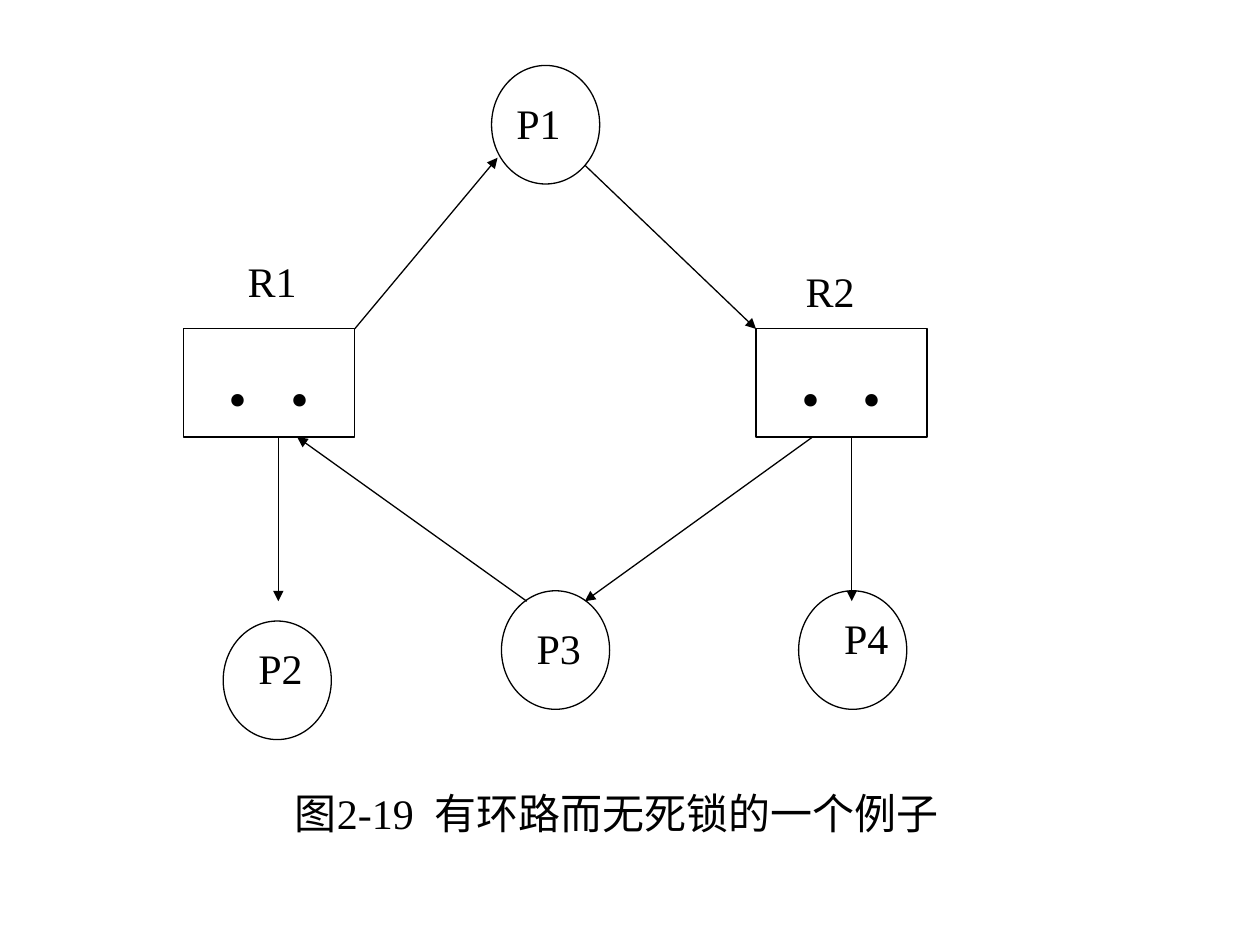
from lxml.etree import SubElement
from pptx import Presentation
from pptx.dml.color import RGBColor
from pptx.enum.shapes import MSO_CONNECTOR, MSO_SHAPE
from pptx.enum.text import MSO_ANCHOR, MSO_AUTO_SIZE, PP_ALIGN
from pptx.oxml.ns import qn
from pptx.util import Cm, Pt

FONT, BLACK, WHITE = "Times New Roman", "000000", "FFFFFF"

# All lengths in cm
BOX_TOP, BOX_W, BOX_H = 6.63, 3.45, 2.18
BOX_BOTTOM = BOX_TOP + BOX_H
CIRCLE_W, CIRCLE_H = 2.18, 2.39
NAME_W, NAME_H = 2.31, 2.18
ARROW_END = 12.12

R1_LEFT, R2_LEFT = 3.7, 15.24
RESOURCES = [  # box left, label, label position and size
    (R1_LEFT, "R1", (4.09, 5.13, 2.79, 1.32)),
    (R2_LEFT, "R2", (15.49, 5.33, 2.49, 1.02)),
]
PROCESSES = [  # name, circle corner, name corner
    ("P1", (9.91, 1.32), (9.7, 1.93)),
    ("P2", (4.5, 12.52), (4.5, 12.93)),
    ("P3", (10.11, 11.91), (10.11, 12.52)),
    ("P4", (16.1, 11.91), (16.31, 12.32)),
]
ARROWS = [
    ((R1_LEFT + BOX_W, BOX_TOP), (10.03, 3.18)),      # R1 to P1
    ((11.79, 3.33), (R2_LEFT, BOX_TOP)),              # P1 to R2
    ((5.61, BOX_BOTTOM), (5.61, ARROW_END)),          # R1 to P2
    ((10.62, ARROW_END), (5.99, BOX_BOTTOM)),         # P3 to R1
    ((16.38, BOX_BOTTOM), (11.79, ARROW_END)),        # R2 to P3
    ((17.17, BOX_BOTTOM), (17.17, ARROW_END)),        # R2 to P4
]
CAPTION = "图2-19  有环路而无死锁的一个例子"


def rgb(value):
    return RGBColor.from_string(value)


def cm(values):
    return [Cm(v) for v in values]


def write(shape, text, size=24, inset=(0.05, 0.03)):
    tf = shape.text_frame
    tf.word_wrap = True
    tf.vertical_anchor = MSO_ANCHOR.TOP
    tf.margin_left = tf.margin_right = Cm(inset[0])
    tf.margin_top = tf.margin_bottom = Cm(inset[1])
    tf.text = text
    p = tf.paragraphs[0]
    p.alignment = PP_ALIGN.CENTER
    font = p.runs[0].font
    font.name, font.size = FONT, Pt(size)
    font.color.rgb = rgb(BLACK)
    return tf


def add_outline(s, kind, at, fill=None):
    sp = s.shapes.add_shape(kind, *cm(at))
    sp.shadow.inherit = False
    if fill:
        sp.fill.solid()
        sp.fill.fore_color.rgb = rgb(fill)
    else:
        sp.fill.background()
    sp.line.color.rgb = rgb(BLACK)
    sp.line.width = Pt(0.75)
    return sp


def add_label(s, text, at, **style):
    return write(s.shapes.add_textbox(*cm(at)), text, **style)


def add_arrow(s, start, end):
    line = s.shapes.add_connector(MSO_CONNECTOR.STRAIGHT, *cm(start + end))
    line.line.color.rgb = rgb(BLACK)
    line.line.width = Pt(0.75)
    SubElement(line.line._get_or_add_ln(), qn("a:tailEnd"), type="triangle")
    SubElement(line._element.spPr, qn("a:effectLst"))


prs = Presentation()
prs.slide_width, prs.slide_height = Cm(25.4), Cm(19.05)
s = prs.slides.add_slide(prs.slide_layouts[6])

for left, name, label_at in RESOURCES:
    box = add_outline(s, MSO_SHAPE.RECTANGLE, (left, BOX_TOP, BOX_W, BOX_H), WHITE)
    write(box, "· ·", size=60)
    add_label(s, name, label_at)

for name, circle, corner in PROCESSES:
    add_label(s, name, corner + (NAME_W, NAME_H))
    add_outline(s, MSO_SHAPE.OVAL, circle + (CIRCLE_W, CIRCLE_H))

for start, end in ARROWS:
    add_arrow(s, start, end)

tf = add_label(s, CAPTION, (5.49, 15.75, 13.89, 1.27), inset=(0.25, 0.13))
tf.word_wrap = False
tf.auto_size = MSO_AUTO_SIZE.SHAPE_TO_FIT_TEXT
tf.vertical_anchor = MSO_ANCHOR.MIDDLE

prs.save("out.pptx")
